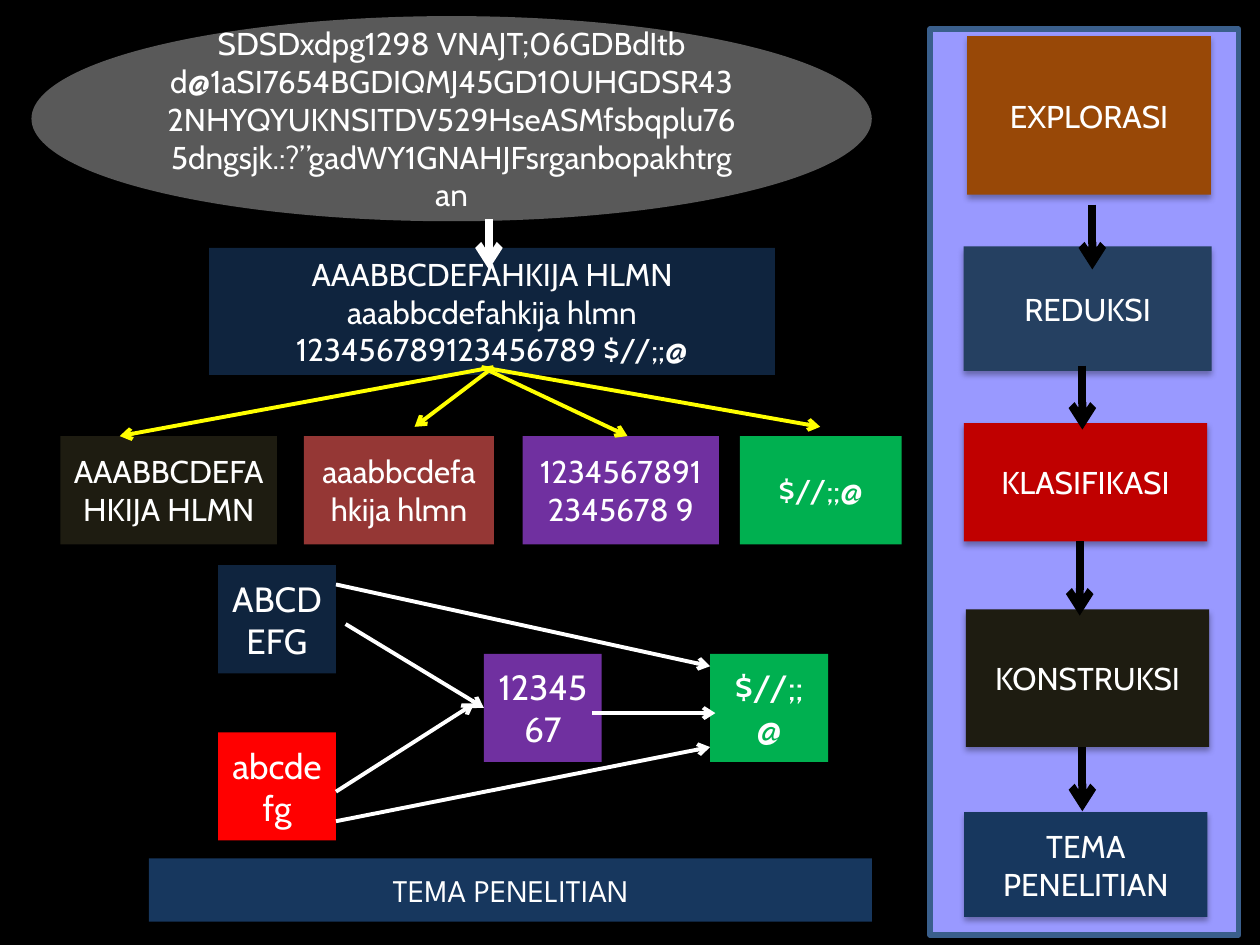
"""Build a slide on the stages of qualitative data analysis, from exploration to theme."""
from lxml import etree
from pptx import Presentation
from pptx.dml.color import RGBColor
from pptx.enum.shapes import MSO_CONNECTOR, MSO_SHAPE
from pptx.enum.text import MSO_ANCHOR, PP_ALIGN
from pptx.oxml import parse_xml
from pptx.oxml.ns import nsdecls, qn
from pptx.util import Pt

RECTANGLE, ELLIPSE = MSO_SHAPE.RECTANGLE, MSO_SHAPE.OVAL
STRAIGHT = MSO_CONNECTOR.STRAIGHT
CENTER, MIDDLE = PP_ALIGN.CENTER, MSO_ANCHOR.MIDDLE
LEFT_SIDE = 1
WHITE, BLACK, YELLOW = "FFFFFF", "000000", "FFFF00"
NAVY, PURPLE, GREEN, DARK, BLUE = "0F243E", "7030A0", "00B050", "1E1C11", "17375E"
SHADOW = (
    f'<a:effectLst {nsdecls("a")}><a:outerShdw blurRad="44450" dist="27940" dir="5400000" '
    'algn="ctr" rotWithShape="0"><a:srgbClr val="000000"><a:alpha val="32000"/>'
    "</a:srgbClr></a:outerShdw></a:effectLst>"
)


def color(value):
    """Turn a hex string into a colour."""
    return RGBColor.from_string(value)


def add_box(text, place, fill, size=18, font="Cabin", kind=RECTANGLE):
    """Add a filled shape with centred white text."""
    shape = slide.shapes.add_shape(kind, *map(Pt, place))
    shape.shadow.inherit = False
    shape.fill.solid()
    shape.fill.fore_color.rgb = color(fill)
    shape.line.fill.background()
    frame = shape.text_frame
    frame.word_wrap = True
    frame.vertical_anchor = MIDDLE
    paragraph = frame.paragraphs[0]
    paragraph.text = text
    paragraph.alignment = CENTER
    paragraph.font.color.rgb = color(WHITE)
    for name, value in {"size": Pt(size), "name": font}.items():
        setattr(paragraph.font, name, value)
    return shape


presentation = Presentation()
presentation.slide_width, presentation.slide_height = Pt(720), Pt(540)
slide = presentation.slides.add_slide(presentation.slide_layouts[6])
slide.background.fill.solid()
slide.background.fill.fore_color.rgb = color(BLACK)

panel = add_box("", (531.4, 16.6, 176.4, 517.7), "9999FF")
panel.line.color.rgb = color("3A5F8C")
panel.line.width = Pt(3)

stages = [
    ("EXPLORASI", (552.7, 20.7, 139.3, 90.5), "984807"),
    ("REDUKSI", (550.6, 140.8, 141.8, 71.2), "254061"),
    ("KLASIFIKASI", (550.8, 241.8, 139, 67.6), "C00000"),
    ("KONSTRUKSI", (552, 348.2, 139, 78.6), DARK),
    ("TEMA PENELITIAN", (551, 464, 139, 60), BLUE),
]
for text, place, fill in stages:
    properties = add_box(text, place, fill)._element.spPr
    properties.remove(properties.find(qn("a:effectLst")))
    properties.append(parse_xml(SHADOW))

raw_data = ("SDSDxdpg1298 VNAJT;06GDBdItb d@1aSI7654BGDIQMJ45GD10UHGDSR43"
            "2NHYQYUKNSITDV529HseASMfsbqplu765dngsjk.:?”gadWY1GNAHJFsrganbopakhtrgan")
add_box(raw_data, (18, 9.2, 480.2, 117.2), "595959", kind=ELLIPSE)
add_box("AAABBCDEFAHKIJA HLMN aaabbcdefahkija hlmn 123456789123456789 $//;;@",
        (119.5, 141.7, 323.3, 72.6), NAVY)
add_box("TEMA PENELITIAN", (85.1, 490.5, 413.2, 36.2), BLUE, font="League Spartan")

classes = [
    ("AAABBCDEFAHKIJA HLMN", 34.5, 123.8, DARK),
    ("aaabbcdefahkija hlmn", 173.7, 108.6, "953735"),
    ("12345678912345678 9", 298.6, 112.3, PURPLE),
    ("$//;;@", 422.8, 92.5, GREEN),
]
for text, left, width, fill in classes:
    add_box(text, (left, 249.2, width, 61.9), fill)

groups = [
    ("ABCDEFG", 124.6, 323, NAVY),
    ("abcdefg", 124.6, 418.5, "FF0000"),
    ("1234567", 276.5, 373.6, PURPLE),
    ("$//;;@", 405.8, 373.6, GREEN),
]
boxes = {text: add_box(text, (left, top, 67.4, 61.8), fill, 20)
         for text, left, top, fill in groups}

arrows = [
    (WHITE, 2.25, [
        (197.5, 356.6, 276.5, 404.5), (192, 452.4, 271, 402), (338.4, 407.5, 408.8, 407.5),
        (192, 334, 405.8, 380.7), (192, 469.3, 405.8, 426.9)]),
    (YELLOW, 2.25, [
        (282, 209.8, 68.4, 249.2), (282, 209.8, 236.9, 243.9),
        (275.2, 209.8, 358.6, 249.2), (275.2, 209.8, 468.7, 243.9)]),
    (WHITE, 4.5, [(279.4, 125.4, 279.4, 154)]),
    (BLACK, 4.5, [
        (624.2, 117, 624.2, 154), (618.5, 209, 618.5, 245.5),
        (617, 309.4, 617, 351.8), (618.5, 426.8, 618.5, 463.6)]),
]
connectors = []
for line_color, width, routes in arrows:
    for route in routes:
        connector = slide.shapes.add_connector(STRAIGHT, *map(Pt, route))
        connector.line.color.rgb = color(line_color)
        connector.line.width = Pt(width)
        etree.SubElement(connector.line._get_or_add_ln(), qn("a:tailEnd"), type="arrow")
        etree.SubElement(connector._element.spPr, qn("a:effectLst"))
        connectors.append(connector)
connectors[0].end_connect(boxes["1234567"], LEFT_SIDE)

presentation.save("out.pptx")
